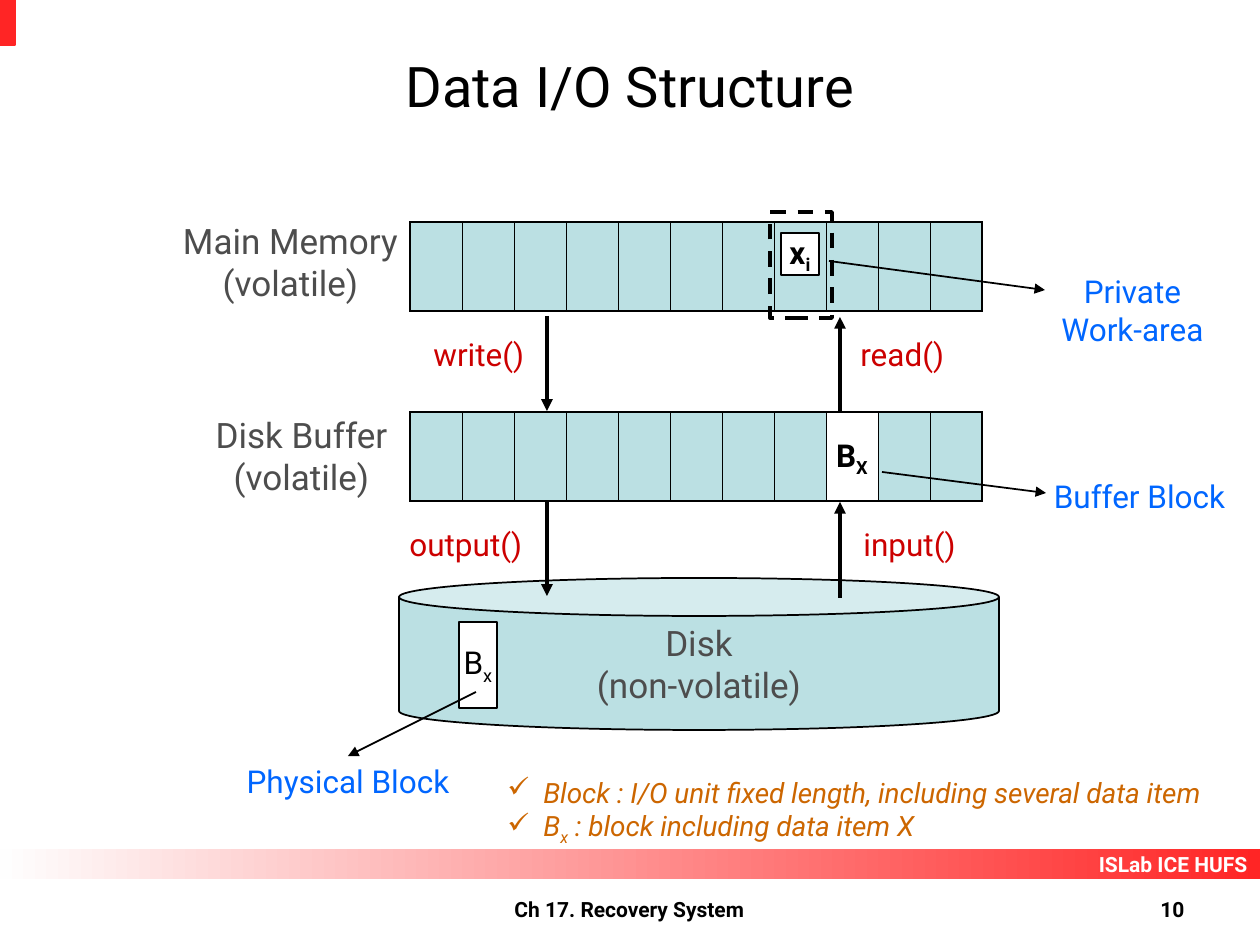
from lxml import etree
from pptx import Presentation
from pptx.dml.color import RGBColor
from pptx.enum.dml import MSO_LINE
from pptx.enum.shapes import MSO_CONNECTOR, MSO_SHAPE
from pptx.enum.text import MSO_ANCHOR, MSO_AUTO_SIZE, PP_ALIGN
from pptx.oxml.ns import qn
from pptx.util import Pt

RECT, CAN = MSO_SHAPE.RECTANGLE, MSO_SHAPE.CAN
LEFT, CENTER, RIGHT = PP_ALIGN.LEFT, PP_ALIGN.CENTER, PP_ALIGN.RIGHT
TOP, MIDDLE = MSO_ANCHOR.TOP, MSO_ANCHOR.MIDDLE
STRAIGHT = MSO_CONNECTOR.STRAIGHT
DASH = MSO_LINE.DASH

COLORS = {
    "black": "000000", "white": "FFFFFF", "red": "FF2525", "fade": "FEFEFE",
    "teal": "BBE0E3", "gray": "4D4D4D", "call": "CC0000", "blue": "0066FF",
    "note": "CC6600",
}
FONT = "Roboto"
EMU_PER_PX = 914400 / 126


def px(length):
    return round(length * EMU_PER_PX)


def rgb(name):
    return RGBColor.from_string(COLORS[name])


class Deck:
    def __init__(self, width, height):
        self.prs = Presentation()
        self.prs.slide_width, self.prs.slide_height = px(width), px(height)
        self.slide = self.prs.slides.add_slide(self.prs.slide_layouts[6])

    def set_lines(self, frame, lines, size, color, align=CENTER, anchor=MIDDLE,
                  bold=False, italic=False, bullet=None):
        """Fill a frame; in a line given as a tuple every second part is a subscript."""
        frame.vertical_anchor = anchor
        for number, line in enumerate(lines):
            paragraph = frame.add_paragraph() if number else frame.paragraphs[0]
            paragraph.alignment = align
            if bullet:
                self.add_bullet(paragraph, bullet, color)
            parts = (line,) if isinstance(line, str) else line
            for position, part in enumerate(parts):
                run = paragraph.add_run()
                run.text = part
                font = run.font
                font.name, font.size = FONT, Pt(size)
                font.bold, font.italic = bold, italic
                font.color.rgb = rgb(color)
                if position % 2:
                    font._element.set("baseline", "-25000")

    def add_bullet(self, paragraph, mark, color, indent=36):
        props = paragraph._p.get_or_add_pPr()
        props.set("marL", str(px(indent)))
        props.set("indent", str(-px(indent)))
        bullet_color = etree.SubElement(props, qn("a:buClr"))
        etree.SubElement(bullet_color, qn("a:srgbClr"), val=COLORS[color])
        etree.SubElement(props, qn("a:buChar"), char=mark)

    def text(self, box, lines, size, color, wrap=False, **style):
        frame = self.slide.shapes.add_textbox(*map(px, box)).text_frame
        frame.word_wrap = wrap
        frame.auto_size = MSO_AUTO_SIZE.NONE if wrap else MSO_AUTO_SIZE.SHAPE_TO_FIT_TEXT
        self.set_lines(frame, lines, size, color, **style)

    def shape(self, kind, box, fill=None, line=None, width=1):
        shape = self.slide.shapes.add_shape(kind, *map(px, box))
        shape.shadow.inherit = False
        if fill:
            shape.fill.solid()
            shape.fill.fore_color.rgb = rgb(fill)
        else:
            shape.fill.background()
        if line:
            shape.line.color.rgb = rgb(line)
            shape.line.width = Pt(width)
        else:
            shape.line.fill.background()
        shape.text_frame.word_wrap = False
        return shape

    def gradient_bar(self, box, start, end):
        bar = self.shape(RECT, box)
        bar.fill.gradient()
        bar.fill.gradient_angle = 0
        for stop, color in zip(bar.fill.gradient_stops, (start, end)):
            stop.color.rgb = rgb(color)
        return bar

    def arrow(self, start, end, width=1):
        arrow = self.slide.shapes.add_connector(STRAIGHT, *map(px, start + end))
        arrow.line.color.rgb = rgb("black")
        arrow.line.width = Pt(width)
        etree.SubElement(arrow.line._get_or_add_ln(), qn("a:tailEnd"), type="triangle")
        etree.SubElement(arrow._element.spPr, qn("a:effectLst"))

    def block_row(self, left, top, count, cell_width, height, empty=()):
        """Draw a row of blocks as a table; blocks listed in empty are white."""
        table = self.slide.shapes.add_table(
            1, count, px(left), px(top), px(count * cell_width), px(height)).table
        table.first_row = table.horz_banding = False
        for index, cell in enumerate(table.rows[0].cells):
            table.columns[index].width = px(cell_width)
            outer = {"T", "B"}
            if index == 0:
                outer.add("L")
            if index == count - 1:
                outer.add("R")
            for side in "LRTB":
                self.border(cell, side, 1.08 if side in outer else 0.45)
            cell.fill.solid()
            cell.fill.fore_color.rgb = rgb("white" if index in empty else "teal")

    def border(self, cell, side, width):
        props = cell._tc.get_or_add_tcPr()
        line = etree.SubElement(props, qn(f"a:ln{side}"), w=str(Pt(width)))
        fill = etree.SubElement(line, qn("a:solidFill"))
        etree.SubElement(fill, qn("a:srgbClr"), val=COLORS["black"])


def main():
    deck = Deck(1260, 945)

    lab_bar = deck.gradient_bar((0, 849, 1260, 30), "fade", "red")
    lab_bar.text_frame.word_wrap = True
    deck.set_lines(lab_bar.text_frame, ["ISLab ICE HUFS"], 12, "white", align=RIGHT, bold=True)
    deck.shape(RECT, (0, 0, 15, 45), "red", "red", 0.75)
    deck.text((63, 26, 1134, 118), ["Data I/O Structure"], 32, "black", wrap=True)

    disk = deck.shape(CAN, (399, 578, 600, 152), "teal", "black")
    deck.set_lines(disk.text_frame, ["Disk", "(non-volatile)"], 20, "gray")
    deck.block_row(410, 412, 11, 52, 89, empty=(8,))
    deck.block_row(410, 222, 11, 52, 89)

    for box, store in (((163, 213, 255, 97), "Main Memory"),
                       ((198, 407, 207, 97), "Disk Buffer")):
        deck.text(box, [store, "(volatile)"], 20, "gray", anchor=TOP)

    for upper, lower in ((316, 411), (501, 596)):
        deck.arrow((547, upper), (547, lower), 2.25)
        deck.arrow((840, lower + 2), (840, upper + 1), 2.25)

    for box, call in (((397, 519, 144, 50), "output()"), ((851, 519, 121, 50), "input()"),
                      ((421, 329, 118, 50), "write()"), ((848, 329, 112, 50), "read()")):
        deck.text(box, [call], 18, "call", align=LEFT, anchor=TOP)

    deck.shape(RECT, (770, 212, 62, 106), None, "black", 2.25).line.dash_style = DASH
    for box, item, outline, bold in (((459, 622, 38, 86), ("B", "x"), "black", False),
                                     ((781, 233, 38, 42), ("x", "i"), "black", True),
                                     ((833, 436, 38, 42), ("B", "X"), "white", True)):
        block = deck.shape(RECT, box, "white", outline)
        deck.set_lines(block.text_frame, [item], 18, "black", bold=bold)

    for start, end, box, callout in (
            ((476, 692), (348, 756), (232, 756, 232, 50), ["Physical Block"]),
            ((882, 472), (1046, 493), (1037, 471, 205, 50), ["Buffer Block"]),
            ((829, 261), (1045, 290), (1043, 266, 179, 88), ["Private", "Work-area"])):
        deck.arrow(start, end)
        deck.text(box, callout, 18, "blue", anchor=TOP)

    deck.text((495, 769, 742, 84),
              ["Block : I/O unit fixed length, including several data item",
               ("B", "x", " : block including data item X")],
              16, "note", align=LEFT, anchor=TOP, italic=True, bullet="✓")

    deck.text((372, 890, 515, 37), ["Ch 17. Recovery System"], 12, "black",
              wrap=True, anchor=TOP, bold=True)
    deck.text((903, 890, 294, 37), ["10"], 12, "black",
              wrap=True, align=RIGHT, anchor=TOP, bold=True)

    deck.prs.save("out.pptx")


if __name__ == "__main__":
    main()
